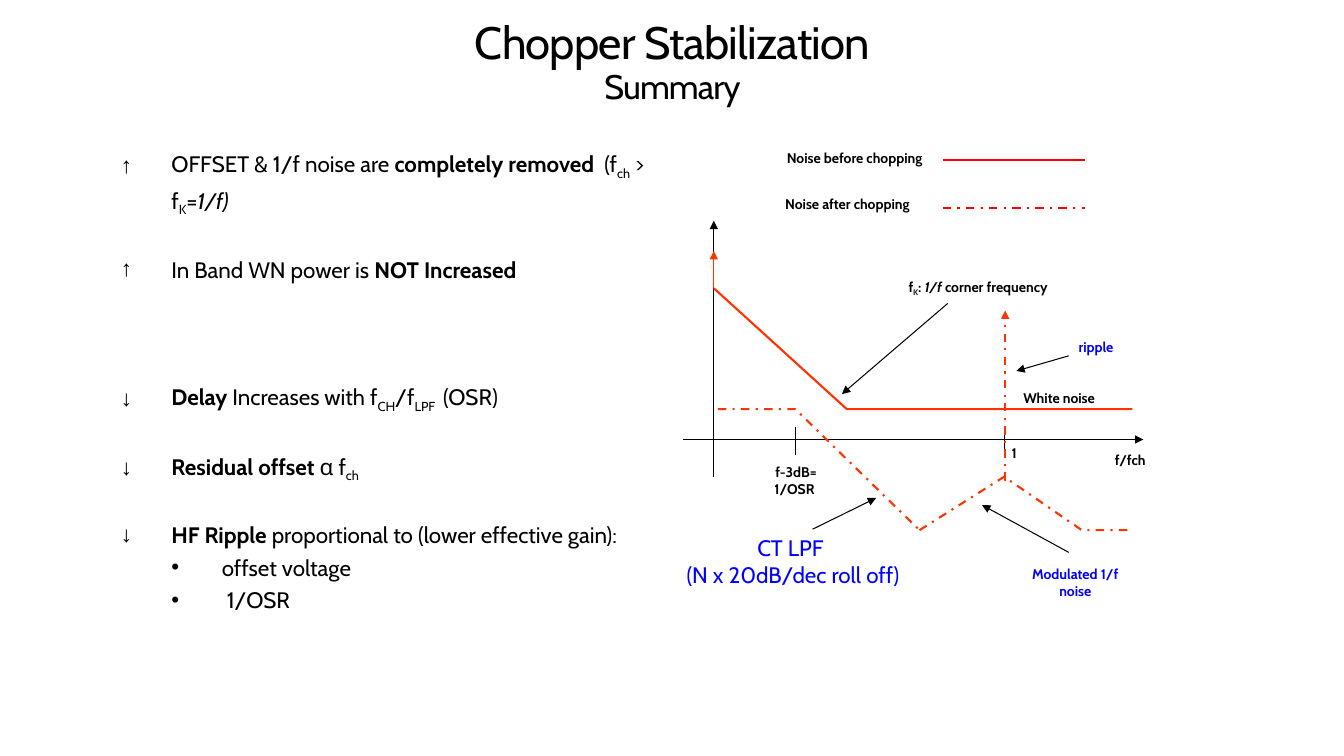
from pptx import Presentation
from pptx.dml.color import RGBColor
from pptx.enum.dml import MSO_LINE
from pptx.enum.shapes import MSO_CONNECTOR
from pptx.enum.text import MSO_ANCHOR, MSO_AUTO_SIZE, PP_ALIGN
from pptx.oxml.xmlchemy import OxmlElement
from pptx.util import Inches, Pt

STRAIGHT = MSO_CONNECTOR.STRAIGHT
DASH_DOT = MSO_LINE.DASH_DOT
CENTER = PP_ALIGN.CENTER
MIDDLE, TOP = MSO_ANCHOR.MIDDLE, MSO_ANCHOR.TOP
NO_FIT = MSO_AUTO_SIZE.NONE


class Theme:
    font = "Cabin"
    black = RGBColor(0x00, 0x00, 0x00)
    blue = RGBColor(0x00, 0x00, 0xFF)
    red = RGBColor(0xFF, 0x00, 0x00)
    orange = RGBColor(0xFF, 0x33, 0x00)
    title, subtitle, body, label = 32.4, 24.3, 16, 10
    thin, thick = 0.75, 1.5


def add_text(p, text, size=Theme.label, color=Theme.black, bold=False,
             italic=False, sub=False, spacing=None):
    r = p.add_run()
    r.text = text
    f = r.font
    f.name, f.size, f.bold, f.italic = Theme.font, Pt(size), bold, italic
    f.color.rgb = color
    rPr = r._r.get_or_add_rPr()
    if sub:
        rPr.set("baseline", "-25000")
    if spacing:
        rPr.set("spc", str(spacing))


def style_line(sp, color, width, dashed=False, arrow=False):
    sp.line.color.rgb = color
    sp.line.width = Pt(width)
    if dashed:
        sp.line.dash_style = DASH_DOT
    if arrow:
        tail = OxmlElement("a:tailEnd")
        tail.set("type", "triangle")
        sp.line._get_or_add_ln().append(tail)
    sp._element.spPr.append(OxmlElement("a:effectLst"))


prs = Presentation()
prs.slide_width, prs.slide_height = Inches(13.33), Inches(7.5)
slide = prs.slides.add_slide(prs.slide_layouts[3])
title, benefits, costs = slide.placeholders

# Title
title.left, title.top = Inches(0.6), Inches(0.21)
title.width, title.height = Inches(12.14), Inches(0.84)
tf = title.text_frame
tf.vertical_anchor, tf.auto_size = MIDDLE, NO_FIT
p = tf.paragraphs[0]
p.alignment, p.line_spacing = CENTER, 0.9
add_text(p, "Chopper Stabilization", size=Theme.title, spacing=-60)
p.add_line_break()
add_text(p, "Summary", size=Theme.subtitle, spacing=-60)

# Lists: (level, bullet, space before in points, runs)
BOLD, ITALIC, SUB = {"bold": True}, {"italic": True}, {"sub": True}
benefit_items = [
    (0, "↑", 0, [("OFFSET & 1/f noise are ", {}), ("completely removed", BOLD),
                 ("  (f", {}), ("ch", SUB), (" > f", {}), ("K", SUB),
                 ("=", {}), ("1/f)", ITALIC)]),
    (0, "↑", 23.5, [("In Band WN power is ", {}), ("NOT Increased", BOLD)]),
]
cost_items = [
    (0, "↓", 0, [("Delay ", BOLD), ("Increases with f", {}), ("CH", SUB),
                 ("/f", {}), ("LPF ", SUB), (" (OSR)", {})]),
    (0, "↓", 23.5, [("Residual offset ", BOLD), ("α f", {}), ("ch", SUB)]),
    (0, "↓", 23.5, [("HF Ripple ", BOLD),
                    ("proportional to (lower effective gain):", {})]),
    (1, "•", 0, [("offset voltage", {})]),
    (1, "•", 0, [(" 1/OSR", {})]),
]
for sp, top, height, items in [(benefits, 1.38, 1.54, benefit_items),
                               (costs, 3.69, 2.66, cost_items)]:
    sp.left, sp.top = Inches(1.1), Inches(top)
    sp.width, sp.height = Inches(5.46), Inches(height)
    tf = sp.text_frame
    tf.vertical_anchor, tf.auto_size = TOP, NO_FIT
    for i, (level, bullet, before, runs) in enumerate(items):
        p = tf.add_paragraph() if i else tf.paragraphs[0]
        p.level, p.line_spacing = level, 1.2
        p.space_before, p.space_after = Pt(before), Pt(0)
        pPr = p._p.get_or_add_pPr()
        pPr.set("marL", str(Inches(0.5 * (level + 1))))
        pPr.set("indent", str(Inches(-0.5)))
        bu = OxmlElement("a:buChar")
        bu.set("char", bullet)
        pPr.append(bu)
        for text, fmt in runs:
            add_text(p, text, size=Theme.body, **fmt)

# Axes, ticks, pointers and legend: (x1, y1, x2, y2, colour, width, dashed, arrow)
black, orange, red = Theme.black, Theme.orange, Theme.red
thin, thick = Theme.thin, Theme.thick
lines = [
    (7.08, 4.73, 7.08, 2.19, black, thin, False, True),
    (6.77, 4.36, 11.34, 4.36, black, thin, False, True),
    (7.08, 2.86, 7.08, 2.49, orange, thin, False, True),
    (7.89, 4.51, 7.89, 4.24, black, thin, False, False),
    (9.96, 4.51, 9.96, 4.24, black, thin, False, False),
    (9.97, 4.77, 9.97, 3.08, orange, thick, True, True),
    (10.6, 3.53, 10.08, 3.68, black, thin, False, True),
    (9.4, 3.01, 8.35, 3.91, black, thin, False, True),
    (8.06, 5.25, 8.69, 4.94, black, thin, False, True),
    (10.6, 5.48, 9.74, 5.01, black, thin, False, True),
    (9.35, 1.59, 10.76, 1.59, red, thick, False, False),
    (9.35, 2.06, 10.76, 2.06, red, thick, True, False),
]
for x1, y1, x2, y2, *look in lines:
    sp = slide.shapes.add_connector(STRAIGHT, Inches(x1), Inches(y1),
                                    Inches(x2), Inches(y2))
    style_line(sp, *look)

# Noise spectra before and after chopping
curves = [
    ([(7.08, 2.86), (8.4, 4.06), (11.23, 4.06)], False),
    ([(7.12, 4.06), (7.89, 4.06), (9.12, 5.26)], True),
    ([(9.12, 5.26), (9.96, 4.73), (10.73, 5.26), (11.19, 5.26)], True),
]
for points, dashed in curves:
    start, *rest = [(Inches(x), Inches(y)) for x, y in points]
    builder = slide.shapes.build_freeform(*start)
    builder.add_line_segments(rest, close=False)
    sp = builder.convert_to_shape()
    sp.fill.background()
    style_line(sp, orange, thick, dashed)

# Labels: (left, top, width, height, paragraphs of runs)
BLUE = {"bold": True, "color": Theme.blue}
ROLL_OFF = {"size": Theme.body, "color": Theme.blue}
labels = [
    (7.5, 1.43, 1.95, 0.27, [[("Noise before chopping", BOLD)]]),
    (7.54, 1.89, 1.76, 0.27, [[("Noise after chopping ", BOLD)]]),
    (9.92, 3.82, 1.2, 0.27, [[("White noise ", BOLD)]]),
    (9.92, 4.36, 0.31, 0.27, [[("1 ", BOLD)]]),
    (10.88, 4.43, 0.69, 0.27, [[("f/fch ", BOLD)]]),
    (10.53, 3.31, 0.68, 0.27, [[("ripple", BLUE)]]),
    (7.52, 4.55, 0.75, 0.43, [[("f-3dB= 1/OSR ", BOLD)]]),
    (8.65, 2.71, 2.1, 0.27, [[("f", BOLD), ("K", BOLD | SUB), (": ", BOLD),
                              ("1/f ", BOLD | ITALIC),
                              ("corner frequency", BOLD)]]),
    (6.5, 5.25, 2.73, 0.64, [[("CT LPF ", ROLL_OFF)],
                             [("(N x 20dB/dec roll off)", ROLL_OFF)]]),
    (10.13, 5.56, 1.07, 0.44, [[("Modulated 1/f noise", BLUE)]]),
]
for left, top, width, height, paragraphs in labels:
    sp = slide.shapes.add_textbox(Inches(left), Inches(top),
                                  Inches(width), Inches(height))
    tf = sp.text_frame
    tf.word_wrap = True
    for i, runs in enumerate(paragraphs):
        p = tf.add_paragraph() if i else tf.paragraphs[0]
        p.alignment = CENTER
        for text, fmt in runs:
            add_text(p, text, **fmt)

prs.save("out.pptx")
